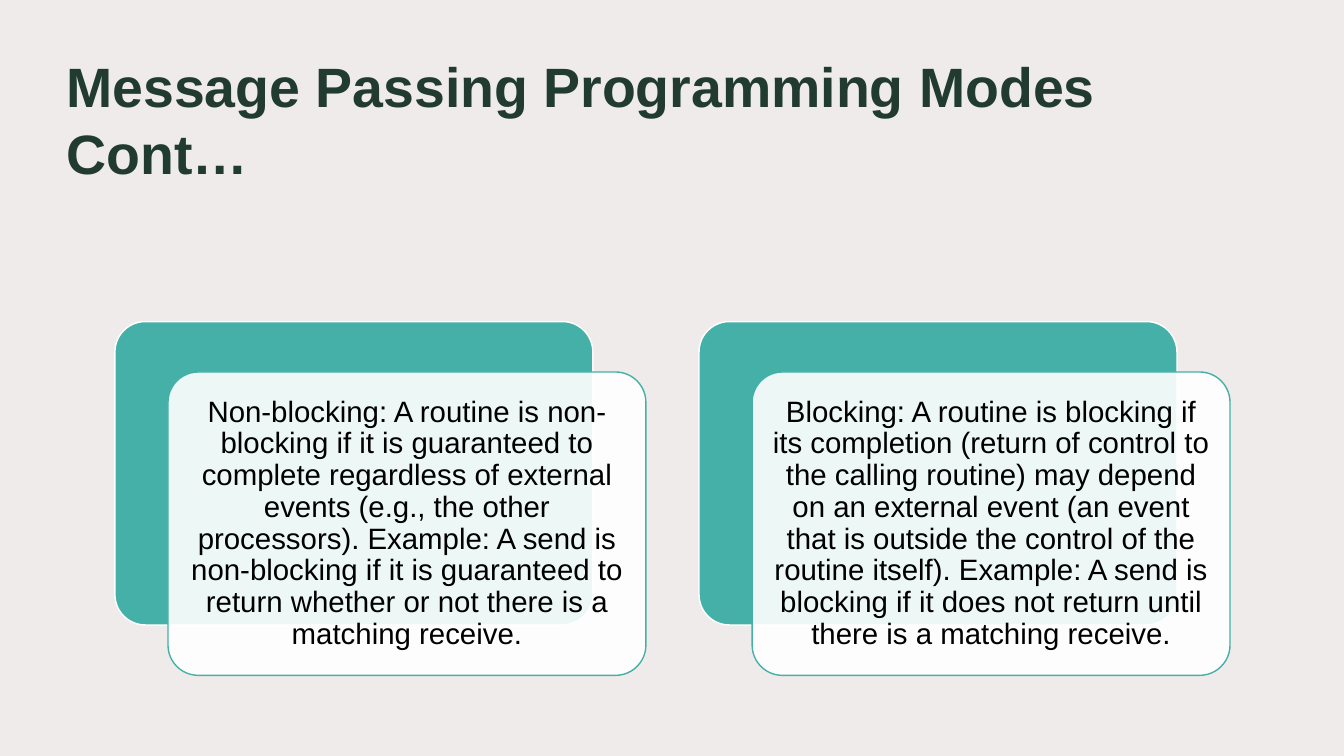
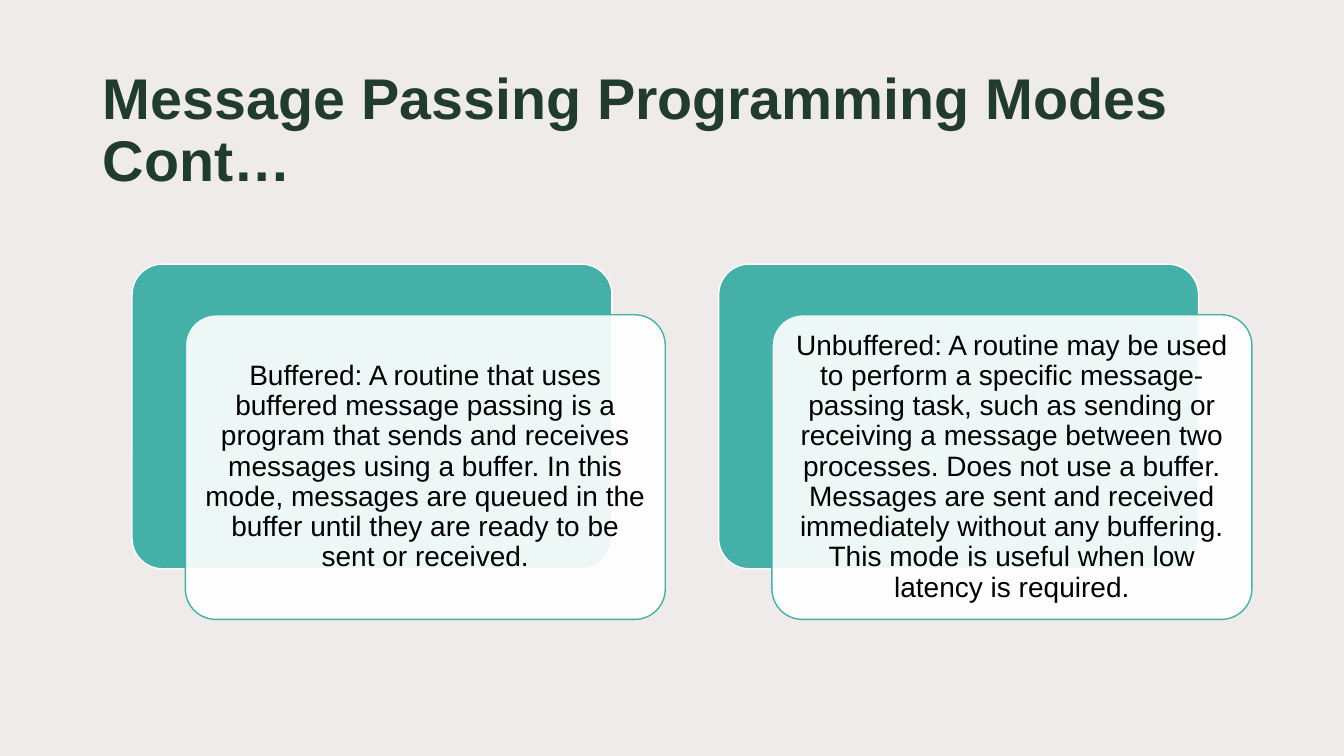
from dataclasses import dataclass

from lxml import etree
from pptx import Presentation
from pptx.dml.color import RGBColor
from pptx.enum.shapes import MSO_SHAPE
from pptx.enum.text import MSO_ANCHOR, PP_ALIGN
from pptx.oxml.ns import qn
from pptx.util import Inches, Pt


@dataclass(frozen=True)
class Theme:
    background: RGBColor = RGBColor(0xEF, 0xEB, 0xEB)
    title: RGBColor = RGBColor(0x21, 0x3B, 0x31)
    accent: RGBColor = RGBColor(0x45, 0xB0, 0xA7)
    white: RGBColor = RGBColor(0xFF, 0xFF, 0xFF)
    body: RGBColor = RGBColor(0x00, 0x00, 0x00)
    font: str = "Arial"
    line_width: float = 1
    card_opacity: int = 90
    corner: float = 0.1
    line_spacing: float = 0.9


TITLE = "Message Passing Programming Modes Cont…"

NON_BLOCKING = (
    "Non-blocking: A routine is non-blocking if it is guaranteed to complete "
    "regardless of external events (e.g., the other processors). Example: A send "
    "is non-blocking if it is guaranteed to return whether or not there is a "
    "matching receive."
)
BLOCKING = (
    "Blocking: A routine is blocking if its completion (return of control to the "
    "calling routine) may depend on an external event (an event that is outside "
    "the control of the routine itself). Example: A send is blocking if it does "
    "not return until there is a matching receive."
)
BUFFERED = (
    "Buffered: A routine that uses buffered message passing is a program that "
    "sends and receives messages using a buffer. In this mode, messages are queued "
    "in the buffer until they are ready to be sent or received."
)
UNBUFFERED = (
    "Unbuffered: A routine may be used to perform a specific message-passing task, "
    "such as sending or receiving a message between two processes. Does not use a "
    "buffer. Messages are sent and received immediately without any buffering. "
    "This mode is useful when low latency is required."
)


class Deck:
    def __init__(self, theme):
        self.theme = theme
        self.prs = Presentation()
        self.prs.slide_width = Inches(13.33)
        self.prs.slide_height = Inches(7.5)
        fill = self.prs.slide_master.background.fill
        fill.solid()
        fill.fore_color.rgb = theme.background
        self.slide = None

    def new_slide(self):
        self.slide = self.prs.slides.add_slide(self.prs.slide_layouts[6])

    def set_text(self, tf, text, size, color):
        """Fill a text frame with one paragraph and return it."""
        tf.word_wrap = True
        p = tf.paragraphs[0]
        p.text = text
        p.font.name = self.theme.font
        p.font.size = Pt(size)
        p.font.color.rgb = color
        return p

    def title(self, box, size, anchor, line_spacing=1.0):
        tf = self.slide.shapes.add_textbox(*map(Inches, box)).text_frame
        tf.vertical_anchor = anchor
        p = self.set_text(tf, TITLE, size, self.theme.title)
        p.font.bold = True
        p.line_spacing = line_spacing

    def panel(self, left, top, width, height, fill, line, opacity=100):
        s = self.slide.shapes.add_shape(
            MSO_SHAPE.ROUNDED_RECTANGLE, *map(Inches, (left, top, width, height)))
        s.adjustments[0] = self.theme.corner
        s.shadow.inherit = False
        s.fill.solid()
        s.fill.fore_color.rgb = fill
        s.line.color.rgb = line
        s.line.width = Pt(self.theme.line_width)
        if opacity < 100:
            color = s.element.spPr.find(qn("a:solidFill"))[0]
            etree.SubElement(color, qn("a:alpha"), val=str(opacity * 1000))
        return s

    def card(self, left, top, width, text, size, inset):
        """Draw an accent panel with a translucent text panel set off from it."""
        t = self.theme
        height = width * 0.635
        dx = width / 9
        dy = dx * 0.95
        self.panel(left, top, width, height, t.accent, t.white)
        front = self.panel(left + dx, top + dy, width, height,
                           t.white, t.accent, t.card_opacity)
        tf = front.text_frame
        tf.margin_left = tf.margin_right = Inches(inset)
        tf.margin_top = tf.margin_bottom = Inches(inset)
        tf.vertical_anchor = MSO_ANCHOR.MIDDLE
        p = self.set_text(tf, text, size, t.body)
        p.alignment = PP_ALIGN.CENTER
        p.line_spacing = t.line_spacing

    def card_row(self, left, top, width, texts, size, inset):
        pitch = width * 11 / 9
        for i, text in enumerate(texts):
            self.card(left + i * pitch, top, width, text, size, inset)


def main():
    theme = Theme()
    deck = Deck(theme)

    deck.new_slide()
    deck.title((0.56, 0.42, 11.67, 1.47), 39.6, MSO_ANCHOR.BOTTOM)
    deck.card_row(1.14, 3.19, 4.74, (NON_BLOCKING, BLOCKING), 21, 0.09)

    deck.new_slide()
    deck.title((0.92, 0.61, 11.32, 1.4), 41, MSO_ANCHOR.MIDDLE, theme.line_spacing)
    deck.card_row(1.31, 2.62, 4.76, (BUFFERED, UNBUFFERED), 20, 0.08)

    deck.prs.save("out.pptx")


if __name__ == "__main__":
    main()
